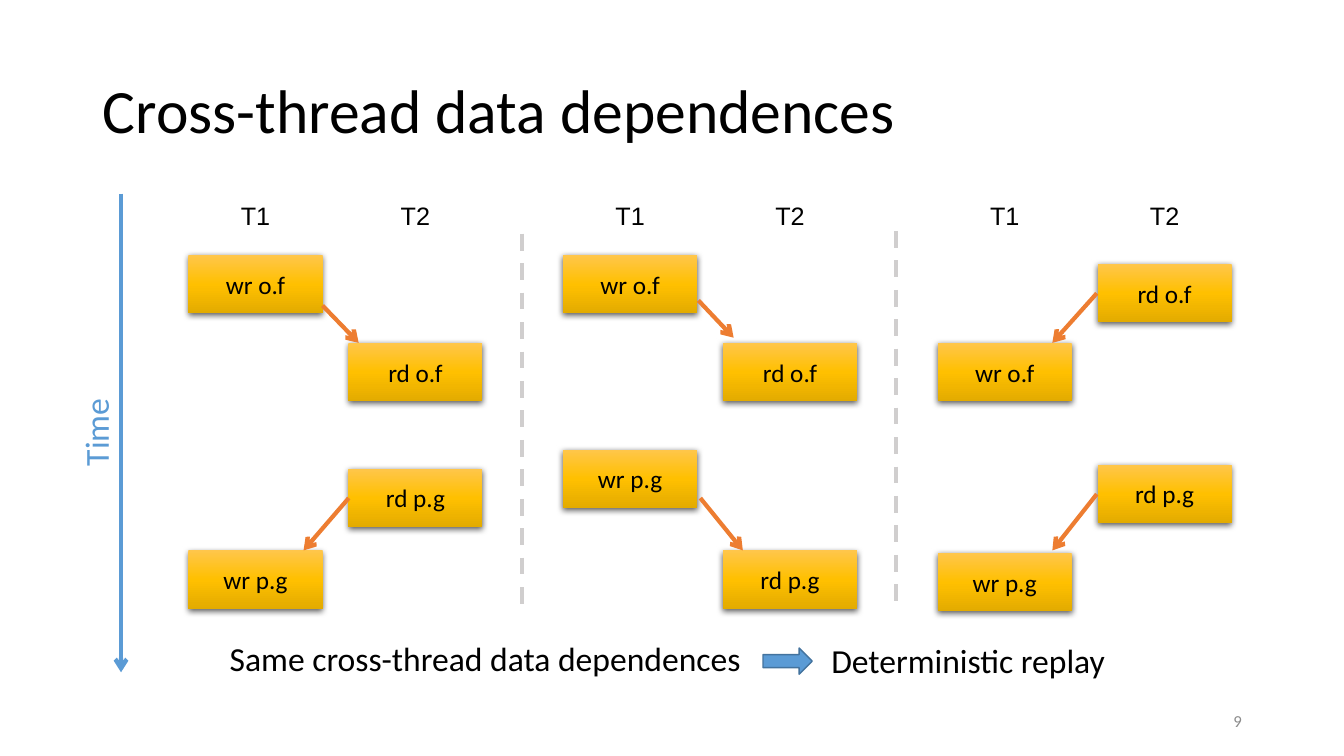
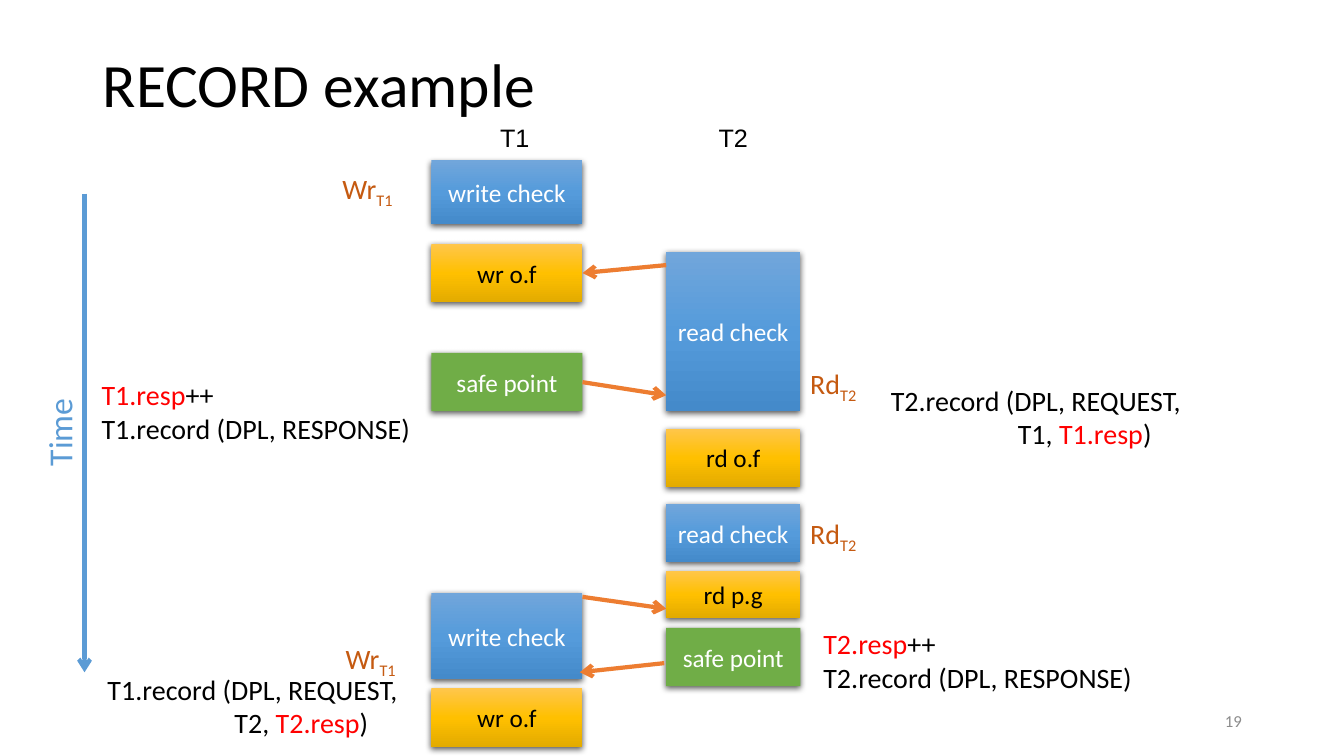
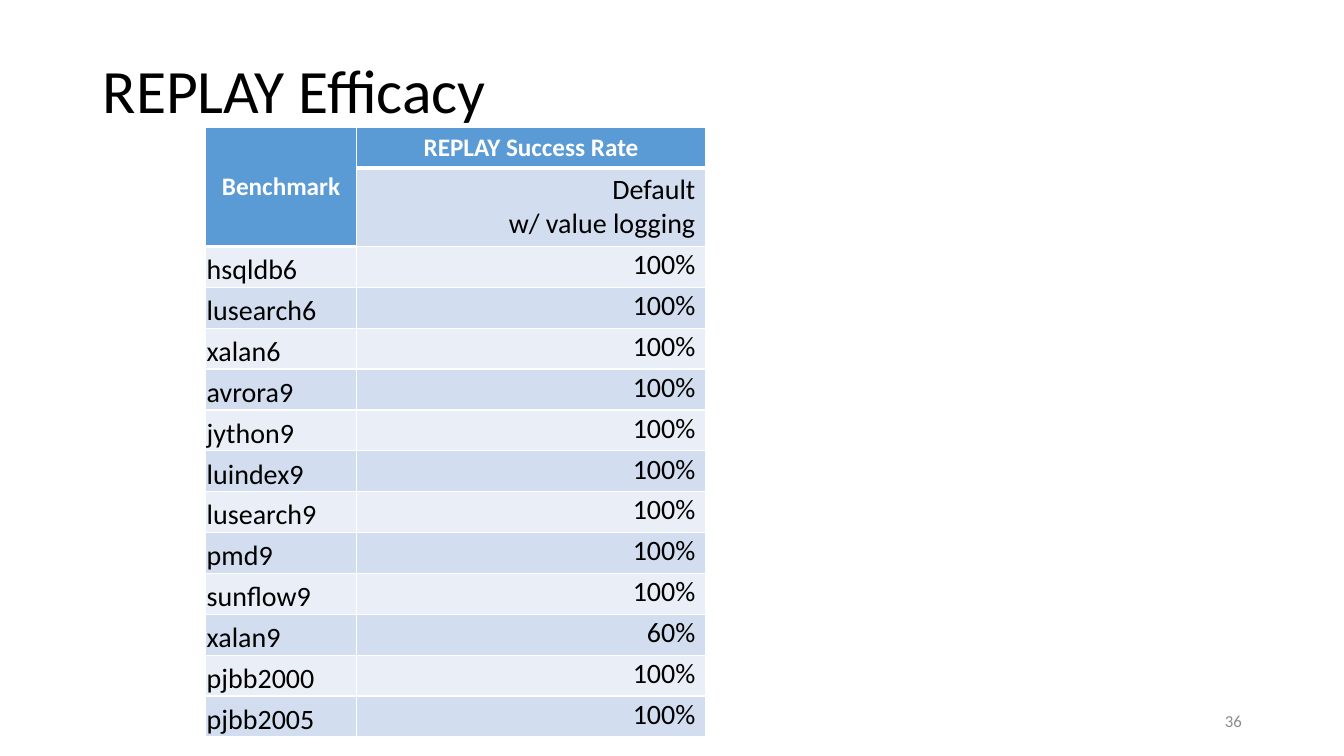
"""Build three slides on recording and replaying cross-thread dependences."""
import copy

import pptx
import pptx.dml.color
import pptx.enum.dml
import pptx.enum.shapes
import pptx.enum.text
import pptx.oxml
import pptx.oxml.ns
import pptx.util

Cm = pptx.util.Cm
Pt = pptx.util.Pt
ALIGN = pptx.enum.text.PP_ALIGN
ANCHOR = pptx.enum.text.MSO_ANCHOR
SHAPE = pptx.enum.shapes.MSO_SHAPE

BLACK, WHITE, GREY, RED = "000000", "FFFFFF", "8C8C8C", "FF0000"
BLUE, BLUE_EDGE, ORANGE, RUST, DIVIDER = "5B9BD5", "43739E", "ED7D31", "C55A11", "D0CECE"
BANDS = ["D2DEEF", "EAEFF7"]
ACCESS = {"stops": ["FFC64B", "FFC000", "E3AB00"], "ink": BLACK}
CHECK = {"stops": ["71A6DB", "559BDB", "448ACA"], "ink": WHITE}
SAFE = {"stops": ["70AD47"], "ink": WHITE}


def rgb(value):
    return pptx.dml.color.RGBColor.from_string(value)


def apply(target, values):
    for name, value in values.items():
        setattr(target, name, value)


def xml(tag, attributes="", inner=""):
    return pptx.oxml.parse_xml(
        f'<a:{tag} {pptx.oxml.ns.nsdecls("a")} {attributes}>{inner}</a:{tag}>')


def color_xml(value, inner=""):
    return f'<a:srgbClr val="{value}">{inner}</a:srgbClr>'


class Deck:
    font = "Calibri"
    box_height = 1.47
    shadow = ('blurRad="57150" dist="19050" dir="5400000" algn="ctr" rotWithShape="0"',
              color_xml(BLACK, '<a:alpha val="63000"/>'))

    def __init__(self):
        self.show = pptx.Presentation()
        apply(self.show, {"slide_width": Cm(33.87), "slide_height": Cm(19.05)})
        self.slide = None

    def new_slide(self, title, number, top=1.02, height=3.68):
        self.slide = self.show.slides.add_slide(self.show.slide_layouts[6])
        self.text(2.34, top, 29.21, height, title, size=44, anchor=ANCHOR.MIDDLE, spacing=0.9)
        self.text(23.93, 17.65, 7.62, 1.02, number, size=12, color=GREY,
                  anchor=ANCHOR.MIDDLE, align=ALIGN.RIGHT)

    def fill_frame(self, frame, content, size=18, color=BLACK, align=ALIGN.LEFT,
                   font=None, bold=False, spacing=None, indents=()):
        lines = [[(content, {})]] if isinstance(content, str) else content
        for index, parts in enumerate(lines):
            line = frame.paragraphs[0] if index == 0 else frame.add_paragraph()
            apply(line, {"alignment": align, "line_spacing": spacing})
            if index < len(indents):
                line._p.get_or_add_pPr().set("marL", str(Cm(indents[index])))
            for words, special in parts:
                run = line.add_run()
                run.text = words
                apply(run.font, {"name": font or self.font, "size": Pt(size), "bold": bold})
                run.font.color.rgb = rgb(special.get("color", color))
                if "baseline" in special:
                    run._r.get_or_add_rPr().set("baseline", special["baseline"])

    def text(self, left, top, width, height, content, anchor=ANCHOR.TOP, rotation=0, **style):
        holder = self.slide.shapes.add_textbox(Cm(left), Cm(top), Cm(width), Cm(height))
        holder.rotation = rotation
        apply(holder.text_frame, {"word_wrap": True, "vertical_anchor": anchor})
        self.fill_frame(holder.text_frame, content, **style)

    def thread(self, left, top, width, name):
        self.text(left, top, width, 1.02, name, font="Arial", align=ALIGN.CENTER)

    def box(self, left, top, width, label, look, height=box_height):
        event = self.slide.shapes.add_shape(
            SHAPE.RECTANGLE, Cm(left), Cm(top), Cm(width), Cm(height))
        event.shadow.inherit = False
        properties = event._element.spPr
        properties.find(pptx.oxml.ns.qn("a:effectLst")).append(xml("outerShdw", *self.shadow))
        event.line.fill.background()
        if len(look["stops"]) == 1:
            event.fill.solid()
            event.fill.fore_color.rgb = rgb(look["stops"][0])
        else:
            event.fill.gradient()
            event.fill.gradient_angle = 270
            ramp = properties.find(".//" + pptx.oxml.ns.qn("a:gsLst"))
            ramp.insert(1, copy.deepcopy(ramp[0]))
            for stop, position, value in zip(event.fill.gradient_stops, (0, 0.5, 1), look["stops"]):
                stop.position = position
                stop.color.rgb = rgb(value)
        apply(event.text_frame, {"word_wrap": True, "vertical_anchor": ANCHOR.MIDDLE})
        self.fill_frame(event.text_frame, label, color=look["ink"], align=ALIGN.CENTER)

    def line(self, start, end, color=ORANGE, arrow=True, dashed=False):
        link = self.slide.shapes.add_connector(
            pptx.enum.shapes.MSO_CONNECTOR.STRAIGHT, *map(Cm, start + end))
        link.line.width = Pt(3)
        link.line.color.rgb = rgb(color)
        if dashed:
            link.line.dash_style = pptx.enum.dml.MSO_LINE.DASH
        properties = link._element.spPr
        if arrow:
            properties.get_or_add_ln().append(xml("tailEnd", 'type="arrow"'))
        properties.append(xml("effectLst"))

    def time_axis(self, left):
        self.line((left, 4.88), (left, 16.94), BLUE)
        self.text(left - 1.81, 10.26, 2.34, 1.27, "Time", size=24, color=BLUE,
                  align=ALIGN.CENTER, rotation=270)

    def block_arrow(self, left, top, width, height):
        implies = self.slide.shapes.add_shape(
            SHAPE.RIGHT_ARROW, Cm(left), Cm(top), Cm(width), Cm(height))
        implies.shadow.inherit = False
        implies.fill.solid()
        implies.fill.fore_color.rgb = rgb(BLUE)
        implies.line.width = Pt(1)
        implies.line.color.rgb = rgb(BLUE_EDGE)

    def table(self, left, top, widths, heights):
        grid = self.slide.shapes.add_table(
            len(heights), len(widths), Cm(left), Cm(top), Cm(sum(widths)), Cm(sum(heights))).table
        apply(grid, {"first_row": False, "horz_banding": False})
        for column, width in zip(grid.columns, widths):
            column.width = Cm(width)
        for row, height in zip(grid.rows, heights):
            row.height = Cm(height)
        return grid

    def cell(self, cell, content, fill, top_line=1, bottom_line=1, layout=None, **style):
        cell.fill.solid()
        cell.fill.fore_color.rgb = rgb(fill)
        borders = {"lnL": 1, "lnR": 1, "lnT": top_line, "lnB": bottom_line}
        for index, (side, points) in enumerate(borders.items()):
            cell._tc.get_or_add_tcPr().insert(index, xml(
                side, f'w="{Pt(points)}"', f"<a:solidFill>{color_xml(WHITE)}</a:solidFill>"))
        apply(cell, layout or {})
        if content:
            self.fill_frame(cell.text_frame, content, **style)


def dependences(deck):
    deck.new_slide("Cross-thread data dependences", "9")
    deck.time_axis(3.05)
    box_width, first_left, group_step, thread_step = 3.38, 4.75, 9.44, 4.03
    groups = [
        ([(0, 6.43, "wr o.f"), (1, 8.64, "rd o.f"), (1, 11.81, "rd p.g"), (0, 13.87, "wr p.g")],
         [((3.38, 7.7), (4.29, 8.64)), ((4.04, 12.55), (2.9, 13.87))]),
        ([(0, 6.43, "wr o.f"), (1, 8.64, "rd o.f"), (0, 11.33, "wr p.g"), (1, 13.87, "rd p.g")],
         [((3.41, 7.57), (4.3, 8.51)), ((3.46, 12.55), (4.53, 13.87))]),
        ([(1, 6.65, "rd o.f"), (0, 8.64, "wr o.f"), (1, 11.71, "rd p.g"), (0, 13.94, "wr p.g")],
         [((4.01, 7.39), (2.89, 8.64)), ((4.01, 12.45), (2.89, 13.87))]),
    ]
    for group, (accesses, orders) in enumerate(groups):
        left = first_left + group * group_step
        for thread, name in enumerate(("T1", "T2")):
            deck.thread(left + thread * thread_step, 4.93, box_width, name)
        for thread, top, label in accesses:
            deck.box(left + thread * thread_step, top, box_width, label, ACCESS)
        for (x1, y1), (x2, y2) in orders:
            deck.line((left + x1, y1), (left + x2, y2))
    for group, top in enumerate((5.89, 5.82)):
        divider = first_left + group * group_step + 8.4
        deck.line((divider, top), (divider, top + 9.53), DIVIDER, arrow=False, dashed=True)
    deck.text(5.54, 15.95, 13.46, 1.27, "Same cross-thread data dependences", size=24)
    deck.text(20.7, 16, 7.72, 1.27, "Deterministic replay", size=24)
    deck.block_arrow(19.23, 16.33, 1.24, 0.66)


def record_example(deck):
    deck.new_slide("RECORD example", "19", height=2.36)
    deck.time_axis(2.13)
    short = deck.box_height
    threads = [
        ("T1", 11.07, 10.87, 3.81, [
            ("write check", CHECK, 4.04, 1.6), ("wr o.f", ACCESS, 6.15, short),
            ("safe point", SAFE, 8.89, short), ("write check", CHECK, 14.94, 2.18),
            ("wr o.f", ACCESS, 17.35, short)]),
        ("T2", 16.79, 16.79, 3.38, [
            ("read check", CHECK, 6.35, 4.01), ("rd o.f", ACCESS, 10.8, short),
            ("read check", CHECK, 12.7, short), ("rd p.g", ACCESS, 14.38, 1.19),
            ("safe point", SAFE, 15.82, short)]),
    ]
    for name, name_left, left, width, events in threads:
        deck.thread(name_left, 2.97, width, name)
        for label, look, top, height in events:
            deck.box(left, top, width, label, look, height)
    messages = [((16.79, 6.68), (14.68, 6.88)), ((14.68, 9.63), (16.79, 9.96)),
                ((14.68, 15.04), (16.79, 15.34)), ((16.74, 16.71), (14.61, 16.94))]
    for start, end in messages:
        deck.line(start, end)
    states = [(8.38, 4.19, "Wr", "T1"), (20.17, 9.12, "Rd", "T2"),
              (20.17, 12.9, "Rd", "T2"), (8.46, 16.03, "Wr", "T1")]
    for left, top, state, owner in states:
        deck.text(left, top, 2.54, 1.12, [[(state, {}), (owner, {"baseline": "-25000"})]],
                  size=20, color=RUST)
    for left, top, owner in [(2.31, 9.4, "T1"), (20.5, 15.67, "T2")]:
        deck.text(left, top, 10.64, 1.96, [
            [(f"{owner}.resp", {"color": RED}), ("++", {})],
            [(f"{owner}.record (DPL, RESPONSE)", {})]], size=20)
    for left, top, owner, other in [(22.2, 9.53, "T2", "T1"), (2.46, 16.81, "T1", "T2")]:
        deck.text(left, top, 10.19, 1.96, [
            [(f"{owner}.record (DPL, REQUEST,", {})],
            [(f"{other}, ", {}), (f"{other}.resp", {"color": RED}), (")", {})]],
            size=20, indents=(0, 3.2))


def replay_efficacy(deck):
    deck.new_slide("REPLAY Efficacy", "36", top=0.51)
    benchmarks = ["hsqldb6", "lusearch6", "xalan6", "avrora9", "jython9", "luindex9",
                  "lusearch9", "pmd9", "sunflow9", "xalan9", "pjbb2000", "pjbb2005"]
    row_height = 1.03
    rates = deck.table(5.18, 3.2, [3.81, 8.79],
                       [row_height, 1.98] + [row_height] * len(benchmarks))
    rates.cell(0, 0).merge(rates.cell(1, 0))
    header = {"fill": BLUE, "bottom_line": 3, "color": WHITE, "bold": True, "align": ALIGN.CENTER}
    deck.cell(rates.cell(0, 0), "Benchmark", layout={"vertical_anchor": ANCHOR.MIDDLE}, **header)
    deck.cell(rates.cell(0, 1), "REPLAY Success Rate", **header)
    deck.cell(rates.cell(1, 0), "", **header)
    deck.cell(rates.cell(1, 1), [[("Default", {})], [("w/ value logging", {})]],
              BANDS[0], top_line=3, size=20, align=ALIGN.RIGHT)
    bottom = {"vertical_anchor": ANCHOR.BOTTOM}
    tight = {**bottom, "margin_left": Cm(0.03), "margin_top": Cm(0.03),
             "margin_right": Cm(0.03), "margin_bottom": 0}
    for row, benchmark in enumerate(benchmarks, start=2):
        body = {"fill": BANDS[(row + 1) % 2], "size": 20, "spacing": Pt(15)}
        deck.cell(rates.cell(row, 0), benchmark, layout=tight,
                  top_line=3 if row == 2 else 1, **body)
        deck.cell(rates.cell(row, 1), "60%" if benchmark == "xalan9" else "100%",
                  layout=bottom, align=ALIGN.RIGHT, **body)


def main():
    deck = Deck()
    dependences(deck)
    record_example(deck)
    replay_efficacy(deck)
    deck.show.save("out.pptx")


if __name__ == "__main__":
    main()
